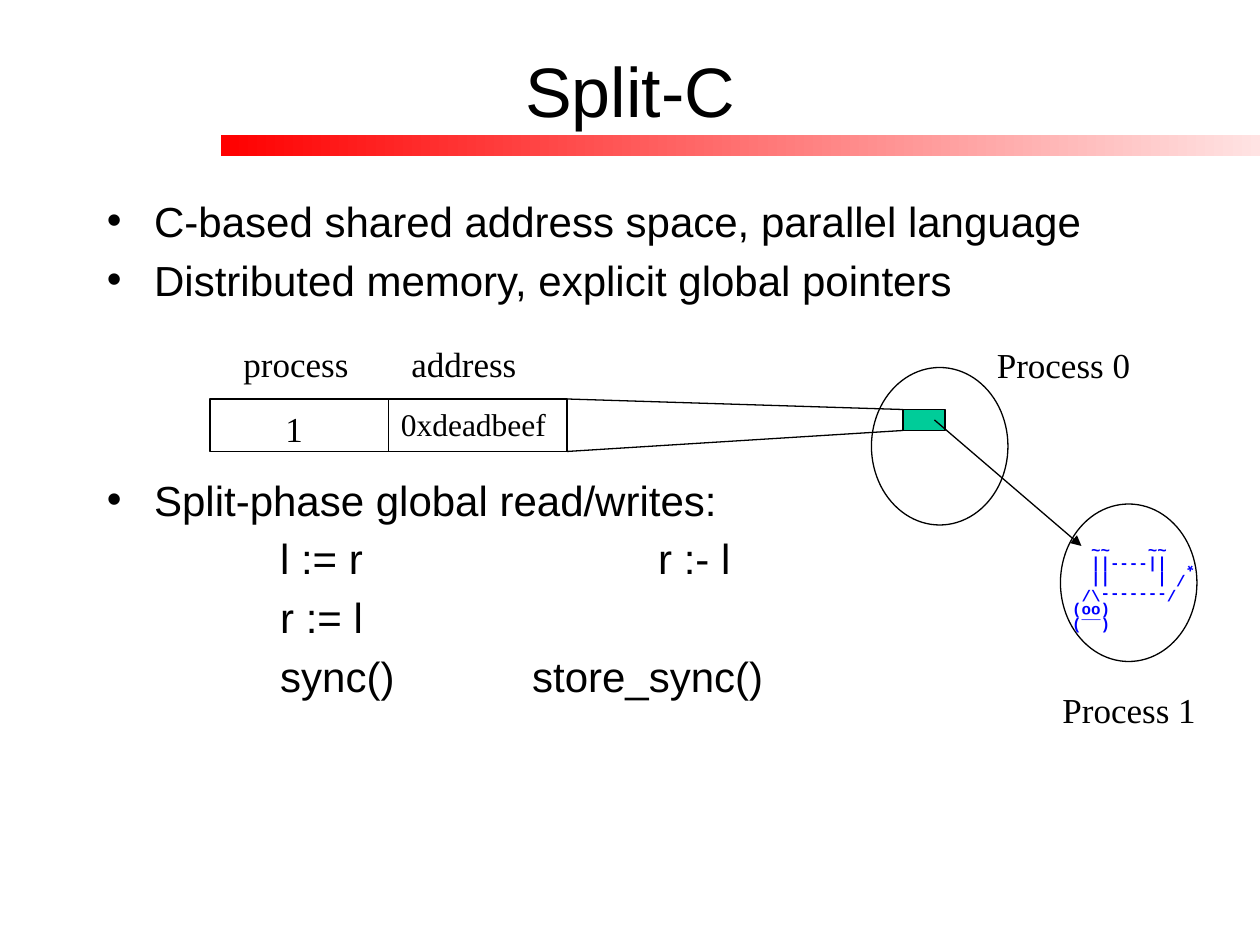
"""Build the Split-C slide on global pointers and split-phase access."""
from lxml.etree import SubElement
from pptx import Presentation
from pptx.dml.color import RGBColor
from pptx.enum.shapes import MSO_CONNECTOR, MSO_SHAPE
from pptx.enum.text import MSO_ANCHOR, PP_ALIGN
from pptx.oxml.ns import qn
from pptx.util import Pt

THEME = {
    "black": RGBColor(0, 0, 0),
    "red": RGBColor(255, 0, 0),
    "pale": RGBColor(255, 227, 227),
    "green": RGBColor(0, 204, 153),
    "blue": RGBColor(0, 0, 255),
    "title": {"name": "Arial", "size": Pt(40)},
    "body": {"name": "Arial", "size": Pt(24)},
    "label": {"name": "Times New Roman", "size": Pt(20)},
    "value": {"name": "Times New Roman", "size": Pt(18)},
    "art": {"name": "Courier New", "size": Pt(9), "bold": True},
    "line": Pt(0.75),
}


def write(spot, rows, style, ink="black", wrap=False):
    """Add a text box with one paragraph per row."""
    box = slide.shapes.add_textbox(*map(Pt, spot))
    frame = box.text_frame
    frame.word_wrap = wrap
    for num, row in enumerate(rows):
        para = frame.add_paragraph() if num else frame.paragraphs[0]
        run = para.add_run()
        run.text = row
        for key, val in THEME[style].items():
            setattr(run.font, key, val)
        run.font.color.rgb = THEME[ink]
    return box


def draw(kind, spot):
    """Add an unfilled, thinly outlined shape."""
    shape = slide.shapes.add_shape(kind, *map(Pt, spot))
    shape.shadow.inherit = False
    shape.fill.background()
    shape.line.color.rgb = THEME["black"]
    shape.line.width = THEME["line"]
    return shape


deck = Presentation()
deck.slide_width, deck.slide_height = Pt(720), Pt(540)
slide = deck.slides.add_slide(deck.slide_layouts[6])

bar = draw(MSO_SHAPE.RECTANGLE, (126, 77, 594, 12))
bar.line.fill.background()
bar.fill.gradient()
bar.fill.gradient_angle = 0
for stop, hue in zip(bar.fill.gradient_stops, ("red", "pale")):
    stop.color.rgb = THEME[hue]

title = write((54, 6, 612, 90), ["Split-C"], "title", wrap=True)
title.text_frame.vertical_anchor = MSO_ANCHOR.MIDDLE
title.text_frame.paragraphs[0].alignment = PP_ALIGN.CENTER

points = [
    "C-based shared address space, parallel language",
    "Distributed memory, explicit global pointers",
    "Split-phase global read/writes:",
]
body = write((54, 108, 612, 190), points, "body", wrap=True)
for para, gap in zip(body.text_frame.paragraphs, (0, 4.8, 97)):
    para.space_before = Pt(gap)
    props = para._p.get_or_add_pPr()
    props.set("marL", str(Pt(27)))
    props.set("indent", str(Pt(-27)))
    SubElement(props, qn("a:buFont"), typeface="Arial")
    SubElement(props, qn("a:buChar"), char="•")

calls = ["l := r\t\t\tr :- l", "r := l", "sync()\t\tstore_sync()"]
code = write((153, 301, 340, 108), calls, "body", wrap=True)
for para, gap in zip(code.text_frame.paragraphs, (0, 4.8, 4.8)):
    para.space_before = Pt(gap)
    tabs = SubElement(para._p.get_or_add_pPr(), qn("a:tabLst"))
    for step in (72, 144, 216):
        SubElement(tabs, qn("a:tab"), pos=str(Pt(step)), algn="l")

for left in (120, 222):
    draw(MSO_SHAPE.RECTANGLE, (left, 228, 102, 30))
for left, top in ((498, 210), (606, 288)):
    draw(MSO_SHAPE.OVAL, (left, top, 78, 90))
cell = draw(MSO_SHAPE.RECTANGLE, (516, 234, 24, 12))
cell.fill.solid()
cell.fill.fore_color.rgb = THEME["green"]

for ends, arrow in (
    ((534, 240, 618, 312), True),
    ((324, 228, 516, 234), False),
    ((324, 258, 516, 246), False),
):
    link = slide.shapes.add_connector(MSO_CONNECTOR.STRAIGHT, *map(Pt, ends))
    link.line.color.rgb = THEME["black"]
    link.line.width = THEME["line"]
    if arrow:
        SubElement(link.line._get_or_add_ln(), qn("a:tailEnd"), type="triangle")
    SubElement(link._element.spPr, qn("a:effectLst"))

for word, left, top, width in (
    ("process", 132, 192, 80),
    ("address", 228, 192, 80),
    ("Process 0", 562.5, 193, 96),
    ("Process 1", 600, 390, 96),
    ("1", 156, 229.5, 28),
):
    write((left, top, width, 31), [word], "label")
write((222, 228, 102, 29), ["0xdeadbeef"], "value")

cow = [
    "         (__)",
    "         (oo)",
    "  /-------\\/",
    " / |     ||",
    "*  ||----||",
    "   ~~    ~~",
]
art = write((590, 306, 100, 59.5), cow, "art", "blue")
art.rotation = 180
for para in art.text_frame.paragraphs:
    para.line_spacing = 0.8

deck.save("out.pptx")
